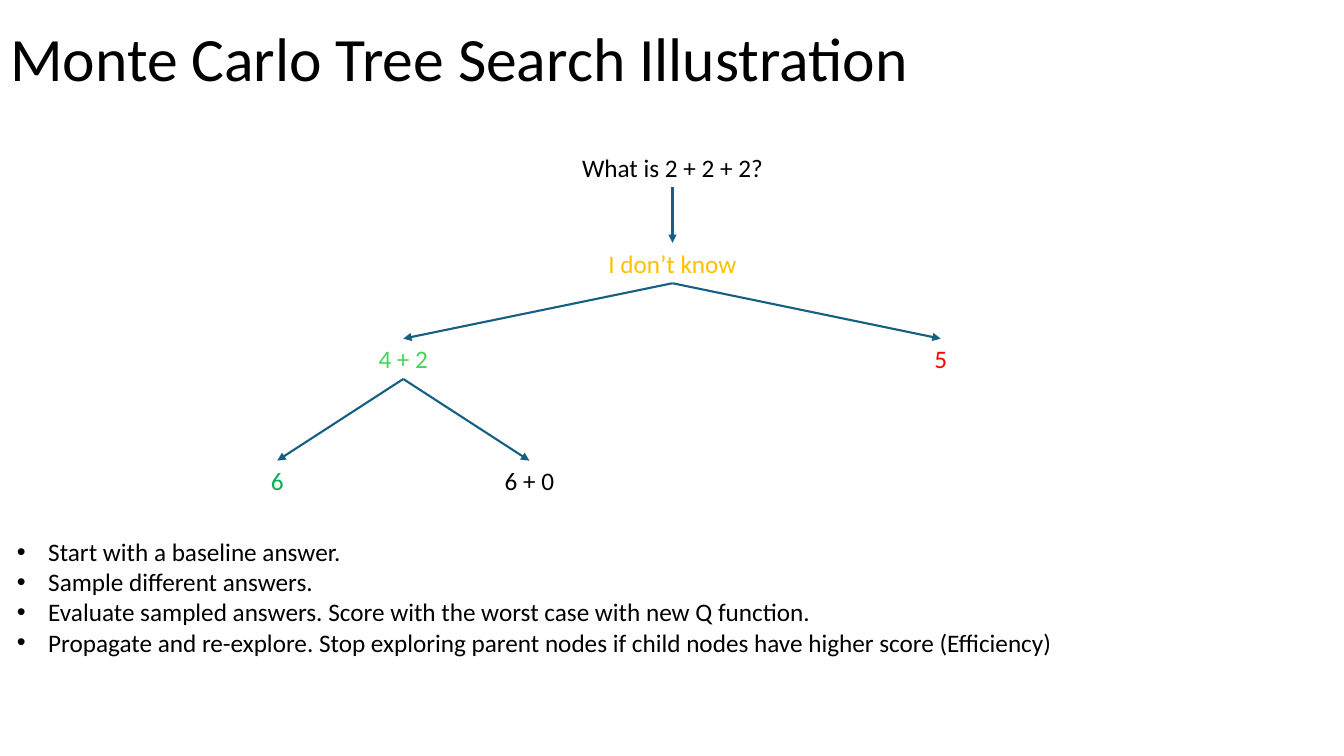
from dataclasses import dataclass

from lxml.etree import SubElement
from pptx import Presentation
from pptx.dml.color import RGBColor
from pptx.enum.shapes import MSO_CONNECTOR
from pptx.enum.text import MSO_ANCHOR, MSO_AUTO_SIZE, PP_ALIGN
from pptx.oxml.ns import qn
from pptx.shapes.autoshape import Shape
from pptx.slide import Slide
from pptx.text.text import _Paragraph as Paragraph
from pptx.util import Inches, Pt

BLACK = "000000"
ARROW_BLUE = "156082"
NODE_HEIGHT = 0.4


@dataclass(frozen=True)
class Node:
    text: str
    center: float
    top: float
    width: float = 2.97
    color: str = BLACK


QUESTION = Node("What is 2 + 2 + 2?", 6.67, 1.46)
BASELINE = Node("I don’t know", 6.67, 2.41, color="FFC000")
PARTIAL = Node("4 + 2", 4, 3.36, color="47D45A")
WRONG = Node("5", 9.33, 3.36, color="FF0000")
SOLVED = Node("6", 2.75, 4.57, 2.5, "00B050")
REWRITTEN = Node("6 + 0", 5.25, 4.57, 2.5)

NODES = [QUESTION, BASELINE, PARTIAL, WRONG, SOLVED, REWRITTEN]
BRANCHES = [
    (QUESTION, BASELINE),
    (BASELINE, PARTIAL),
    (BASELINE, WRONG),
    (PARTIAL, SOLVED),
    (PARTIAL, REWRITTEN),
]
STEPS = [
    "Start with a baseline answer.",
    "Sample different answers.",
    "Evaluate sampled answers. Score with the worst case with new Q function.",
    "Propagate and re-explore. Stop exploring parent nodes if child nodes have higher score (Efficiency)",
]


def rgb(color: str) -> RGBColor:
    return RGBColor.from_string(color)


def style(paragraph: Paragraph, size: float, color: str = BLACK) -> None:
    paragraph.font.name = "Calibri"
    paragraph.font.size = Pt(size)
    paragraph.font.color.rgb = rgb(color)


def add_title(slide: Slide, text: str) -> None:
    title = slide.shapes.title
    title.left, title.top = Inches(0), Inches(0.03)
    title.width, title.height = Inches(13.33), Inches(1.16)
    title.text_frame.text = text
    title.text_frame.vertical_anchor = MSO_ANCHOR.MIDDLE
    heading = title.text_frame.paragraphs[0]
    heading.alignment = PP_ALIGN.LEFT
    heading.line_spacing = 0.9
    style(heading, 44)


def add_node(slide: Slide, node: Node) -> Shape:
    box = slide.shapes.add_textbox(
        Inches(node.center - node.width / 2), Inches(node.top),
        Inches(node.width), Inches(NODE_HEIGHT),
    )
    box.text_frame.word_wrap = True
    box.text_frame.auto_size = MSO_AUTO_SIZE.SHAPE_TO_FIT_TEXT
    label = box.text_frame.paragraphs[0]
    label.text = node.text
    label.alignment = PP_ALIGN.CENTER
    style(label, 18, node.color)
    return box


def add_branch(slide: Slide, parent: Shape, child: Shape) -> None:
    arrow = slide.shapes.add_connector(MSO_CONNECTOR.STRAIGHT, 0, 0, 0, 0)
    arrow.begin_connect(parent, 2)
    arrow.end_connect(child, 0)
    arrow.line.color.rgb = rgb(ARROW_BLUE)
    arrow.line.width = Pt(1.5)
    properties = arrow._element.spPr
    SubElement(properties.find(qn("a:ln")), qn("a:tailEnd"), type="triangle")
    SubElement(properties, qn("a:effectLst"))


def add_steps(slide: Slide, steps: list[str]) -> None:
    box = slide.shapes.add_textbox(
        Inches(0.07), Inches(5.27), Inches(13.09), Inches(1.62)
    )
    box.text_frame.word_wrap = True
    box.text_frame.text = "\n".join(steps)
    indent = Inches(0.31)
    for step in box.text_frame.paragraphs:
        properties = step._p.get_or_add_pPr()
        properties.set("marL", str(indent))
        properties.set("indent", str(-indent))
        SubElement(properties, qn("a:buFont"), typeface="Arial")
        SubElement(properties, qn("a:buChar"), char="•")
        style(step, 18)


def main() -> None:
    """Build the tree search slide and save it."""
    deck = Presentation()
    deck.slide_width, deck.slide_height = Inches(13.33), Inches(7.5)
    slide = deck.slides.add_slide(deck.slide_layouts[5])
    add_title(slide, "Monte Carlo Tree Search Illustration")
    boxes = {node: add_node(slide, node) for node in NODES}
    for parent, child in BRANCHES:
        add_branch(slide, boxes[parent], boxes[child])
    add_steps(slide, STEPS)
    deck.save("out.pptx")


if __name__ == "__main__":
    main()
